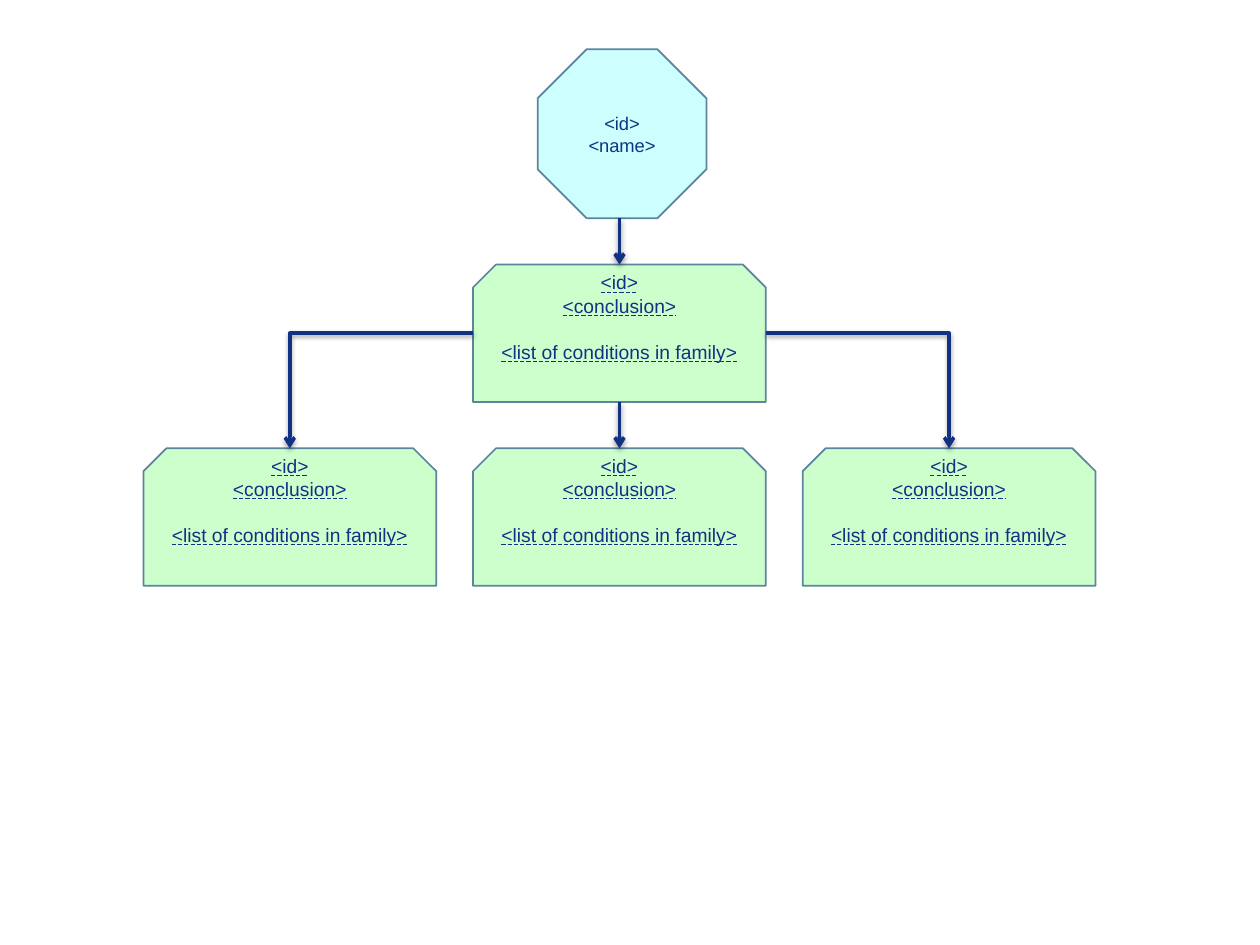
from dataclasses import dataclass

from lxml.etree import SubElement
from pptx import Presentation
from pptx.dml.color import RGBColor
from pptx.enum.shapes import MSO_CONNECTOR, MSO_SHAPE
from pptx.enum.text import MSO_ANCHOR, MSO_AUTO_SIZE, MSO_UNDERLINE, PP_ALIGN
from pptx.oxml.ns import qn
from pptx.util import Pt


@dataclass(frozen=True)
class Theme:
    font: str = "Arial"
    ink: RGBColor = RGBColor(0x10, 0x31, 0x84)
    outline: RGBColor = RGBColor(0x5C, 0x85, 0x9D)
    root_fill: RGBColor = RGBColor(0xCD, 0xFF, 0xFF)
    family_fill: RGBColor = RGBColor(0xCD, 0xFF, 0xCD)
    root_size: float = 10.5
    family_size: float = 11


@dataclass(frozen=True)
class Box:
    left: float
    top: float
    width: float
    height: float

    @property
    def center(self):
        return self.left + self.width / 2

    @property
    def middle(self):
        return self.top + self.height / 2

    @property
    def right(self):
        return self.left + self.width

    @property
    def bottom(self):
        return self.top + self.height

    def lengths(self):
        return Pt(self.left), Pt(self.top), Pt(self.width), Pt(self.height)


THEME = Theme()
FAMILY_LINES = ("<id>", "<conclusion>", "<list of conditions in family>")


def add_outlined_shape(shapes, kind, box, fill):
    shape = shapes.add_shape(kind, *box.lengths())
    shape.shadow.inherit = False
    shape.fill.solid()
    shape.fill.fore_color.rgb = fill
    shape.line.color.rgb = THEME.outline
    shape.line.width = Pt(1)
    return shape


def write_lines(text_frame, lines, size, underline=None):
    text_frame.text = "\n".join(lines)
    for paragraph in text_frame.paragraphs:
        paragraph.alignment = PP_ALIGN.CENTER
        for run in paragraph.runs:
            run.font.name = THEME.font
            run.font.size = Pt(size)
            run.font.color.rgb = THEME.ink
            run.font.underline = underline


def add_root(slide, box):
    shape = add_outlined_shape(slide.shapes, MSO_SHAPE.OCTAGON, box, THEME.root_fill)
    shape.adjustments[0] = 0.29
    text_frame = shape.text_frame
    text_frame.margin_left = text_frame.margin_right = 0
    text_frame.margin_top = text_frame.margin_bottom = Pt(3)
    text_frame.vertical_anchor = MSO_ANCHOR.MIDDLE
    write_lines(text_frame, ("<id>", "<name>"), THEME.root_size)


def add_family(slide, box):
    """Group a snipped box with the text that describes one family."""
    group = slide.shapes.add_group_shape()
    add_outlined_shape(group.shapes, MSO_SHAPE.SNIP_2_SAME_RECTANGLE, box, THEME.family_fill)
    inset = 8.4
    text_area = Box(box.left + inset, box.top, box.width - 2 * inset, 60.5)
    text_frame = group.shapes.add_textbox(*text_area.lengths()).text_frame
    text_frame.word_wrap = False
    text_frame.auto_size = MSO_AUTO_SIZE.SHAPE_TO_FIT_TEXT
    write_lines(text_frame, FAMILY_LINES, THEME.family_size, MSO_UNDERLINE.DASH_LINE)
    text_frame.paragraphs[-1].space_before = Pt(13)


def add_arrow(slide, start, end, bent=False):
    kind = MSO_CONNECTOR.ELBOW if bent else MSO_CONNECTOR.STRAIGHT
    connector = slide.shapes.add_connector(kind, *map(Pt, start + end))
    connector.line.color.rgb = THEME.ink
    connector.line.width = Pt(2)
    properties = connector._element.spPr
    if bent:
        properties.find(qn("a:prstGeom")).set("prst", "bentConnector2")
    SubElement(properties.find(qn("a:ln")), qn("a:tailEnd"), type="arrow")
    effects = SubElement(properties, qn("a:effectLst"))
    shadow = SubElement(effects, qn("a:outerShdw"), blurRad=str(Pt(3.1)),
                        dist=str(Pt(1.6)), dir="5400000", rotWithShape="0")
    color = SubElement(shadow, qn("a:srgbClr"), val="000000")
    SubElement(color, qn("a:alpha"), val="38000")


def add_tree(slide, box):
    """Place the root, its family and three child families inside the box."""
    width, height, gap = 167.3, 78.5, 26.5
    pitch = (box.width - width) / 2
    root_side = 96.5
    root = Box(box.center - root_side / 2 + 1.5, box.top, root_side, root_side)
    parent = Box(box.left + pitch, root.bottom + gap, width, height)
    children = [Box(box.left + column * pitch, parent.bottom + gap, width, height)
                for column in range(3)]
    left, middle, right = children

    add_root(slide, root)
    for family in (parent, *children):
        add_family(slide, family)
    add_arrow(slide, (parent.center, root.bottom), (parent.center, parent.top))
    add_arrow(slide, (parent.center, parent.bottom), (middle.center, middle.top))
    add_arrow(slide, (parent.left, parent.middle), (left.center, left.top), bent=True)
    add_arrow(slide, (parent.right, parent.middle), (right.center, right.top), bent=True)


def main():
    presentation = Presentation()
    presentation.slide_width, presentation.slide_height = Pt(720), Pt(540)
    slide = presentation.slides.add_slide(presentation.slide_layouts[6])
    add_tree(slide, Box(82, 28.2, 544, 306.5))
    presentation.save("out.pptx")


if __name__ == "__main__":
    main()
